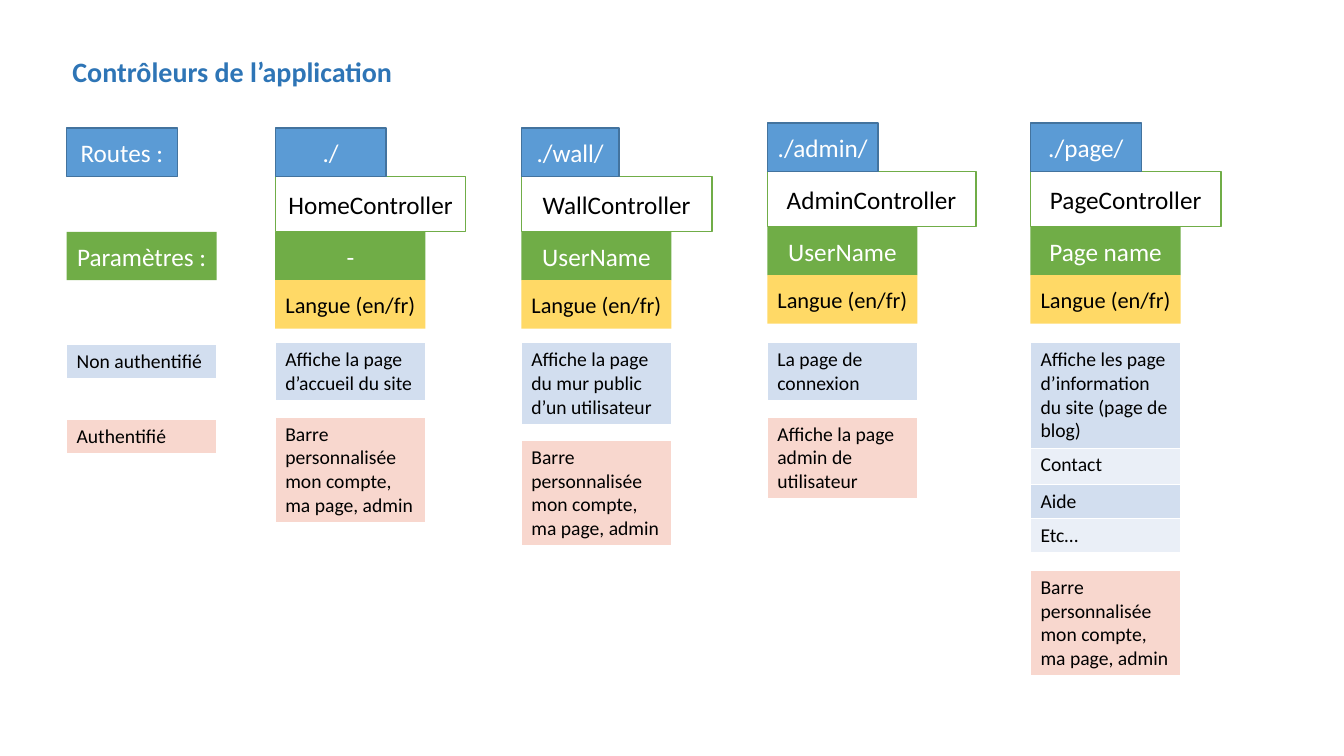
from lxml import etree
from pptx import Presentation
from pptx.dml.color import RGBColor
from pptx.enum.shapes import MSO_SHAPE as Shape
from pptx.enum.text import MSO_ANCHOR as Anchor, PP_ALIGN as Align
from pptx.oxml.ns import qn
from pptx.util import Inches, Pt

COLORS = {
    "white": "FFFFFF", "black": "000000", "title": "2E75B6",
    "route": "5B9BD5", "route_line": "43739E", "parameter": "70AD47",
    "language": "FFD966", "guest": "D2DEEF", "guest_light": "EAEFF7",
    "member": "F8D7CE",
}
FONT = "Calibri"
TITLE = "Contrôleurs de l’application"
LANGUAGE = "Langue (en/fr)"
MEMBER_BAR = "Barre personnalisée mon compte, ma page, admin"

LABEL_LEFT = 0.66
ROUTE_LABEL = "Routes :"
PARAMETER_LABEL = "Paramètres :"
ACCESS_LABELS = [("Non authentifié", 3.42, "guest"), ("Authentifié", 4.16, "member")]

CONTROLLERS = [
    {"left": 2.73, "top": 1.27, "route": "./", "route_width": 1.1,
     "name": "HomeController", "name_width": 1.89, "parameter": "-",
     "guest": [("Affiche la page d’accueil du site", 0.57)],
     "member": (MEMBER_BAR, 1.03), "member_top": 4.14},
    {"left": 5.17, "top": 1.27, "route": "./wall/", "route_width": 0.97,
     "name": "WallController", "name_width": 1.89, "parameter": "UserName",
     "guest": [("Affiche la page du mur public d’un utilisateur", 0.8)],
     "member": (MEMBER_BAR, 1.03), "member_top": 4.37},
    {"left": 7.61, "top": 1.22, "route": "./admin/", "route_width": 1.1,
     "name": "AdminController", "name_width": 2.07, "parameter": "UserName",
     "guest": [("La page de connexion", 0.57)],
     "member": ("Affiche la page admin de utilisateur", 0.8), "member_top": 4.14},
    {"left": 10.22, "top": 1.22, "route": "./page/", "route_width": 1.1,
     "name": "PageController", "name_width": 1.89, "parameter": "Page name",
     "guest": [("Affiche les page d’information du site (page de blog)", 1.03),
               ("Contact", 0.36), ("Aide", 0.33), ("Etc…", 0.33)],
     "member": (MEMBER_BAR, 1.03), "member_top": 5.66},
]

BLOCK_WIDTH = 1.49
BLOCK_HEIGHT = 0.48
NAME_HEIGHT = 0.55
GUEST_TOP = 3.4
LINE_HEIGHT = 0.33

deck = Presentation()
deck.slide_width, deck.slide_height = Inches(13.33), Inches(7.5)
page = deck.slides.add_slide(deck.slide_layouts[6])


def rgb(name):
    return RGBColor.from_string(COLORS[name])


def write(frame, text, size=18, color="black", bold=False, align=Align.LEFT):
    para = frame.paragraphs[0]
    para.alignment = align
    span = para.add_run()
    span.text = text
    span.font.name = FONT
    span.font.size = Pt(size)
    span.font.bold = bold
    span.font.color.rgb = rgb(color)


def add_block(text, left, top, width=BLOCK_WIDTH, height=BLOCK_HEIGHT,
              fill="parameter", line=None, color="white", size=18):
    box = page.shapes.add_shape(
        Shape.RECTANGLE, Inches(left), Inches(top), Inches(width), Inches(height))
    box.shadow.inherit = False
    box.fill.solid()
    box.fill.fore_color.rgb = rgb(fill)
    if line:
        box.line.color.rgb = rgb(line)
        box.line.width = Pt(1)
    else:
        box.line.fill.background()
    box.text_frame.word_wrap = False
    box.text_frame.vertical_anchor = Anchor.MIDDLE
    write(box.text_frame, text, size=size, color=color, align=Align.CENTER)


def add_route(text, left, top, width=1.1):
    add_block(text, left, top, width=width, fill="route", line="route_line")


def add_borders(cell):
    properties = cell._tc.get_or_add_tcPr()
    for side in ("lnL", "lnR", "lnT", "lnB"):
        border = etree.SubElement(properties, qn(f"a:{side}"), w=str(Pt(1)))
        paint = etree.SubElement(border, qn("a:solidFill"))
        etree.SubElement(paint, qn("a:srgbClr"), val=COLORS["white"])


def add_access(rows, left, top, fills):
    height = sum(row_height for _, row_height in rows)
    table = page.shapes.add_table(
        len(rows), 1, Inches(left), Inches(top),
        Inches(BLOCK_WIDTH), Inches(height)).table
    table.first_row = table.horz_banding = False
    for index, (text, row_height) in enumerate(rows):
        table.rows[index].height = Inches(row_height)
        cell = table.cell(index, 0)
        add_borders(cell)
        cell.fill.solid()
        cell.fill.fore_color.rgb = rgb(fills[index % len(fills)])
        write(cell.text_frame, text, size=14)


add_route(ROUTE_LABEL, LABEL_LEFT, 1.27)
add_block(PARAMETER_LABEL, LABEL_LEFT, 2.3)
for label, label_top, fill in ACCESS_LABELS:
    add_access([(label, LINE_HEIGHT)], LABEL_LEFT, label_top, [fill])

for item in CONTROLLERS:
    left = item["left"]
    name_top = item["top"] + BLOCK_HEIGHT
    parameter_top = name_top + NAME_HEIGHT
    add_block(item["name"], left, name_top, width=item["name_width"],
              height=NAME_HEIGHT, fill="white", line="parameter", color="black")
    add_block(item["parameter"], left, parameter_top)
    add_route(item["route"], left, item["top"], width=item["route_width"])
    add_block(LANGUAGE, left, parameter_top + BLOCK_HEIGHT,
              fill="language", color="black", size=16)
    add_access(item["guest"], left, GUEST_TOP, ["guest", "guest_light"])
    add_access([item["member"]], left, item["member_top"], ["member"])

title = page.shapes.add_textbox(Inches(0.62), Inches(0.49), Inches(3.4), Inches(0.44))
title.text_frame.word_wrap = False
write(title.text_frame, TITLE, size=20, color="title", bold=True)

deck.save("out.pptx")
